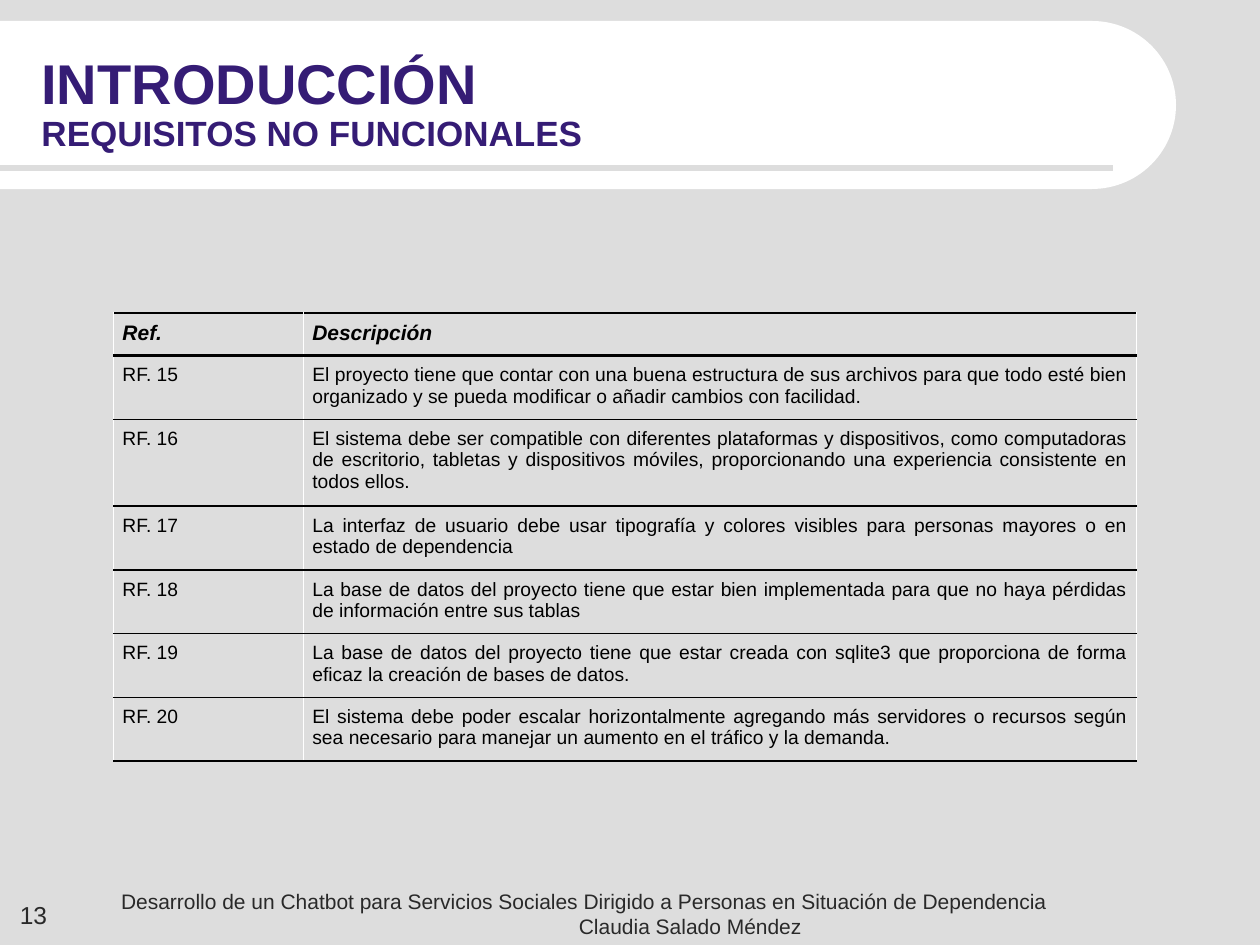
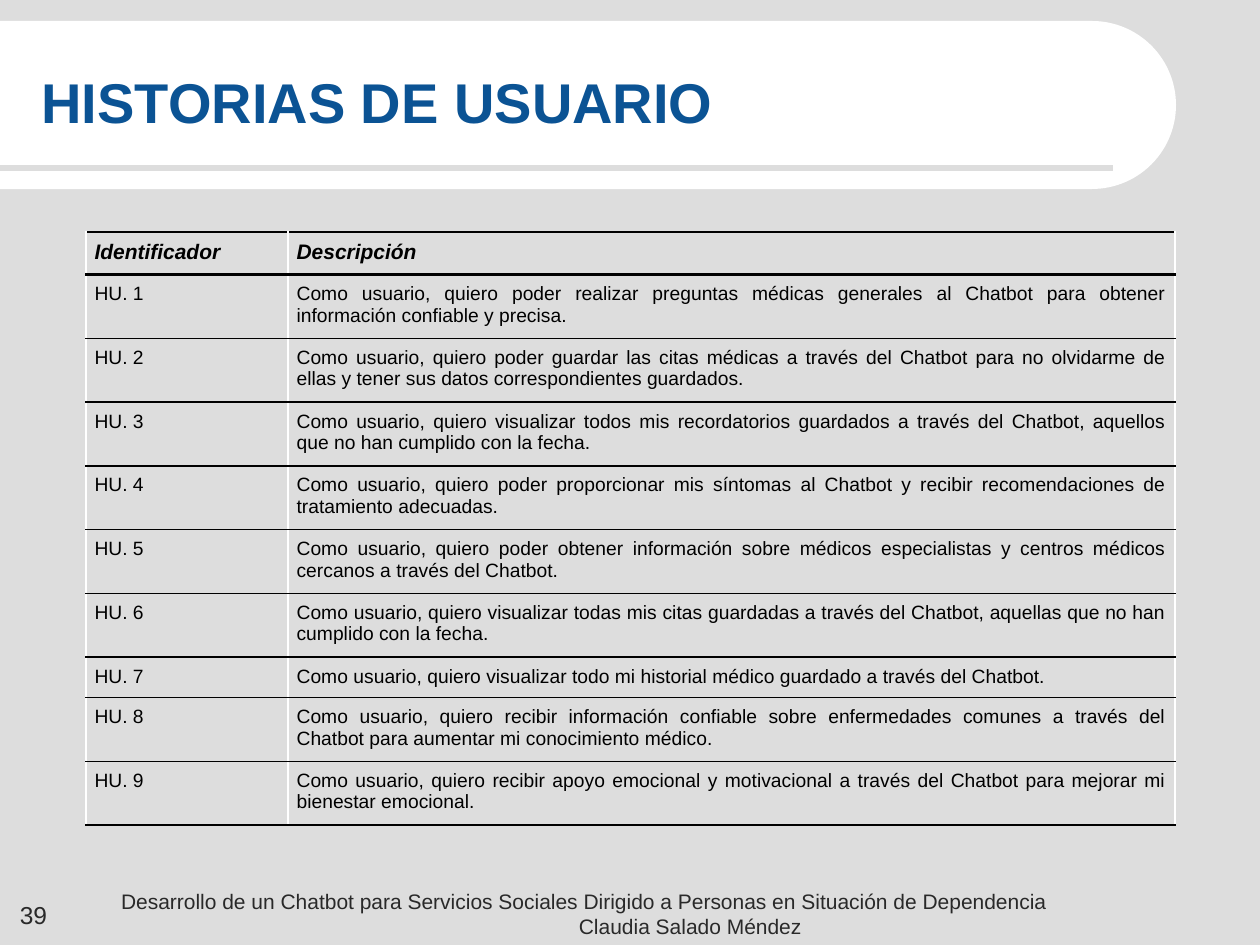
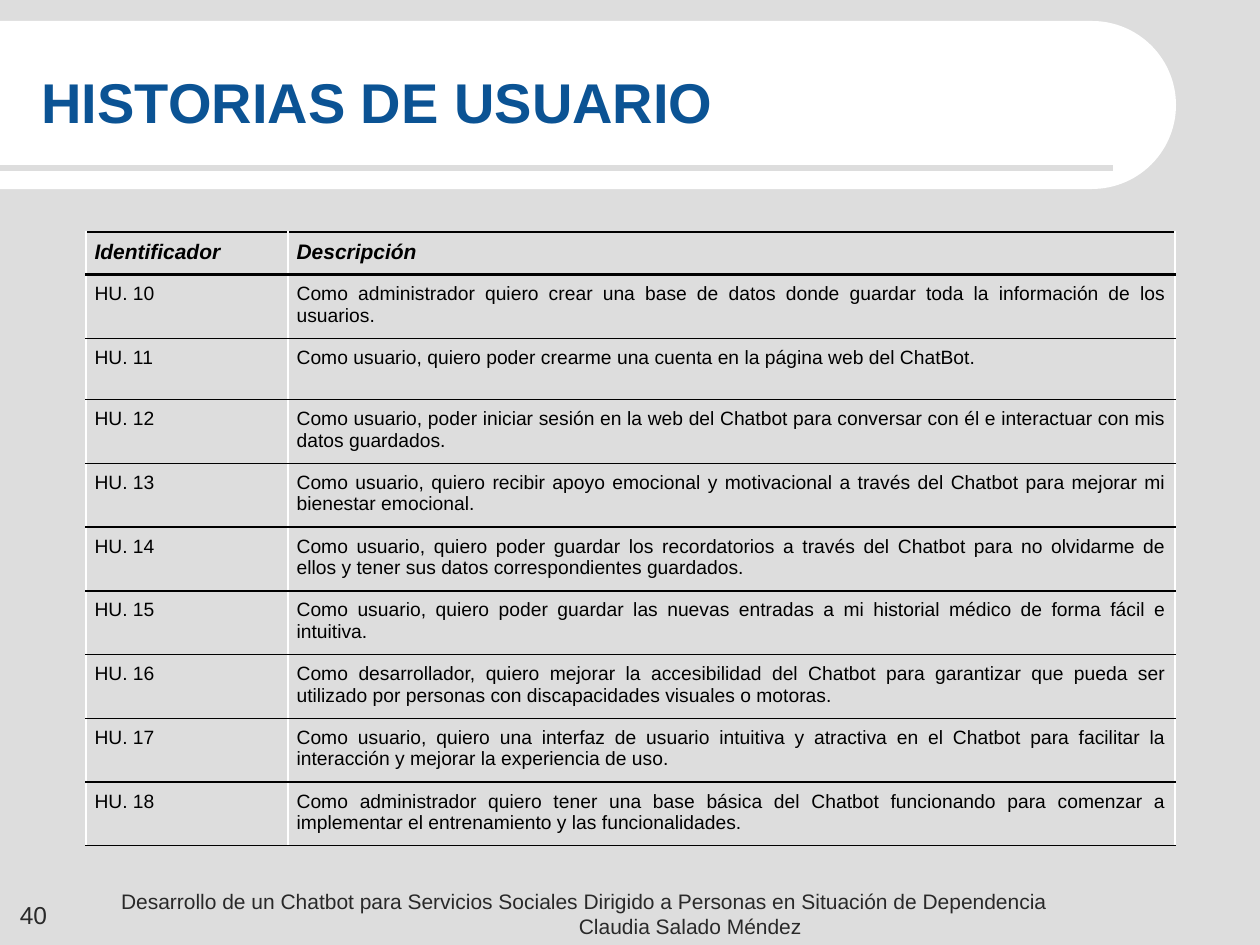
"""Builds three slides of requirement and user story tables for a chatbot project."""
from math import cos, pi, sin

from lxml import etree
from pptx import Presentation
from pptx.dml.color import RGBColor
from pptx.enum.shapes import MSO_CONNECTOR
from pptx.enum.text import MSO_ANCHOR, MSO_AUTO_SIZE, PP_ALIGN
from pptx.oxml.ns import qn
from pptx.util import Pt

LEFT, CENTER, RIGHT, JUSTIFY = PP_ALIGN.LEFT, PP_ALIGN.CENTER, PP_ALIGN.RIGHT, PP_ALIGN.JUSTIFY
TOP, MIDDLE, BOTTOM = MSO_ANCHOR.TOP, MSO_ANCHOR.MIDDLE, MSO_ANCHOR.BOTTOM
STRAIGHT = MSO_CONNECTOR.STRAIGHT
NO_AUTOFIT = MSO_AUTO_SIZE.NONE

FONT = "Arial"
COLORS = {
    "background": "DDDDDD",
    "band": "FFFFFF",
    "purple": "351C75",
    "blue": "0B5394",
    "footer": "292929",
    "text": "000000",
    "side_border": "FFFFFF",
    "row_border": "000000",
}
TITLE_LAYOUT = 5
CELL_INSET = 5
MIN_ROW_HEIGHT = 12
THIN, THICK = 1, 1.5
PROJECT = ("Desarrollo de un Chatbot para Servicios Sociales Dirigido a Personas "
           "en Situación de Dependencia")
AUTHOR = "Claudia Salado Méndez"
AUTHOR_INDENT = 121

REQUIREMENTS = [
    "El proyecto tiene que contar con una buena estructura de sus archivos para que todo esté "
    "bien organizado y se pueda modificar o añadir cambios con facilidad.",
    "El sistema debe ser compatible con diferentes plataformas y dispositivos, como computadoras "
    "de escritorio, tabletas y dispositivos móviles, proporcionando una experiencia consistente "
    "en todos ellos.",
    "La interfaz de usuario debe usar tipografía y colores visibles para personas mayores o en "
    "estado de dependencia",
    "La base de datos del proyecto tiene que estar bien implementada para que no haya pérdidas "
    "de información entre sus tablas",
    "La base de datos del proyecto tiene que estar creada con sqlite3 que proporciona de forma "
    "eficaz la creación de bases de datos.",
    "El sistema debe poder escalar horizontalmente agregando más servidores o recursos según "
    "sea necesario para manejar un aumento en el tráfico y la demanda.",
]
FIRST_STORIES = [
    "Como usuario, quiero poder realizar preguntas médicas generales al Chatbot para obtener "
    "información confiable y precisa.",
    "Como usuario, quiero poder guardar las citas médicas a través del Chatbot para no olvidarme "
    "de ellas y tener sus datos correspondientes guardados.",
    "Como usuario, quiero visualizar todos mis recordatorios guardados a través del Chatbot, "
    "aquellos que no han cumplido con la fecha.",
    "Como usuario, quiero poder proporcionar mis síntomas al Chatbot y recibir recomendaciones "
    "de tratamiento adecuadas.",
    "Como usuario, quiero poder obtener información sobre médicos especialistas y centros "
    "médicos cercanos a través del Chatbot.",
    "Como usuario, quiero visualizar todas mis citas guardadas a través del Chatbot, aquellas "
    "que no han cumplido con la fecha.",
    "Como usuario, quiero visualizar todo mi historial médico guardado a través del Chatbot.",
    "Como usuario, quiero recibir información confiable sobre enfermedades comunes a través del "
    "Chatbot para aumentar mi conocimiento médico.",
    "Como usuario, quiero recibir apoyo emocional y motivacional a través del Chatbot para "
    "mejorar mi bienestar emocional.",
]
LAST_STORIES = [
    "Como administrador quiero crear una base de datos donde guardar toda la información de los "
    "usuarios.",
    "Como usuario, quiero poder crearme una cuenta en la página web del ChatBot.",
    "Como usuario, poder iniciar sesión en la web del Chatbot para conversar con él e "
    "interactuar con mis datos guardados.",
    "Como usuario, quiero recibir apoyo emocional y motivacional a través del Chatbot para "
    "mejorar mi bienestar emocional.",
    "Como usuario, quiero poder guardar los recordatorios a través del Chatbot para no olvidarme "
    "de ellos y tener sus datos correspondientes guardados.",
    "Como usuario, quiero poder guardar las nuevas entradas a mi historial médico de forma fácil "
    "e intuitiva.",
    "Como desarrollador, quiero mejorar la accesibilidad del Chatbot para garantizar que pueda "
    "ser utilizado por personas con discapacidades visuales o motoras.",
    "Como usuario, quiero una interfaz de usuario intuitiva y atractiva en el Chatbot para "
    "facilitar la interacción y mejorar la experiencia de uso.",
    "Como administrador quiero tener una base básica del Chatbot funcionando para comenzar a "
    "implementar el entrenamiento y las funcionalidades.",
]


def rgb(color):
    return RGBColor.from_string(COLORS[color])


def write_text(paragraph, text, size=11, color="text", bold=False, italic=False,
               align=LEFT, line_spacing=None, indent=0):
    paragraph.alignment = align
    paragraph.line_spacing = line_spacing
    if indent:
        paragraph._p.get_or_add_pPr().set("marL", str(Pt(indent)))
    run = paragraph.add_run()
    run.text = text
    run.font.name = FONT
    run.font.size = Pt(size)
    run.font.color.rgb = rgb(color)
    run.font.bold = bold
    run.font.italic = italic


def add_label(slide, left, top, width, height, anchor=TOP):
    frame = slide.shapes.add_textbox(Pt(left), Pt(top), Pt(width), Pt(height)).text_frame
    frame.word_wrap = True
    frame.vertical_anchor = anchor
    return frame


def add_band(slide, top=12, radius=48, straight=624, steps=60):
    angles = [pi * step / steps - pi / 2 for step in range(steps + 1)]
    outline = [(straight + radius * cos(a), top + radius + radius * sin(a)) for a in angles]
    outline.append((0, top + 2 * radius))
    builder = slide.shapes.build_freeform(0, Pt(top))
    builder.add_line_segments([(Pt(x), Pt(y)) for x, y in outline], close=True)
    band = builder.convert_to_shape()
    band.shadow.inherit = False
    band.fill.solid()
    band.fill.fore_color.rgb = rgb("band")
    band.line.fill.background()
    return band


def add_rule(slide, y=96, length=636):
    rule = slide.shapes.add_connector(STRAIGHT, 0, Pt(y), Pt(length), Pt(y))
    rule.line.color.rgb = rgb("background")
    rule.line.width = Pt(3)
    etree.SubElement(rule._element.spPr, qn("a:effectLst"))
    return rule


def add_footer(slide, number):
    footer = add_label(slide, 58.5, 503, 551, 37, anchor=BOTTOM)
    style = {"size": 12, "color": "footer", "align": CENTER}
    write_text(footer.paragraphs[0], PROJECT, **style)
    write_text(footer.add_paragraph(), AUTHOR, indent=AUTHOR_INDENT, **style)
    page = add_label(slide, 0, 511, 34, 32)
    write_text(page.paragraphs[0], str(number), size=14, color="footer", align=RIGHT)


def set_title(slide, heading, subheading, color):
    title = slide.shapes.title
    title.left, title.top, title.width, title.height = Pt(16.5), Pt(26.5), Pt(630), Pt(62.5)
    frame = title.text_frame
    frame.auto_size = NO_AUTOFIT
    frame.vertical_anchor = MIDDLE
    write_text(frame.paragraphs[0], heading, size=32, color=color, bold=True)
    if subheading:
        write_text(frame.add_paragraph(), subheading, size=20, color=color, bold=True,
                   line_spacing=0.9)


def set_border(cell, side, color, width):
    border = etree.SubElement(cell._tc.get_or_add_tcPr(), qn(f"a:ln{side}"), w=str(Pt(width)))
    fill = etree.SubElement(border, qn("a:solidFill"))
    etree.SubElement(fill, qn("a:srgbClr"), val=COLORS[color])


def format_cell(cell, top_width, bottom_width):
    cell.margin_left = cell.margin_right = Pt(CELL_INSET)
    cell.margin_top = cell.margin_bottom = Pt(CELL_INSET)
    for side in "LR":
        set_border(cell, side, "side_border", THIN)
    set_border(cell, "T", "row_border", top_width)
    set_border(cell, "B", "row_border", bottom_width)
    cell.fill.background()


def add_list_table(slide, left, top, columns, headings, entries, end_width=THIN, heights=None):
    rows = [headings, *entries]
    table = slide.shapes.add_table(len(rows), len(columns), Pt(left), Pt(top), Pt(sum(columns)),
                                   Pt(MIN_ROW_HEIGHT * len(rows))).table
    table.first_row = table.horz_banding = False
    for column, width in zip(table.columns, columns):
        column.width = Pt(width)
    for row, height in (heights or {}).items():
        table.rows[row].height = Pt(height)
    edges = [THICK, THICK] + [THIN] * (len(entries) - 1) + [end_width]
    for row, texts in enumerate(rows):
        for column, text in enumerate(texts):
            cell = table.cell(row, column)
            format_cell(cell, edges[row], edges[row + 1])
            if row == 0:
                style = {"size": 12, "bold": True, "italic": True}
            else:
                style = {"align": JUSTIFY if column else LEFT}
            write_text(cell.text_frame.paragraphs[0], text, **style)


def numbered(prefix, first, descriptions):
    return [(f"{prefix}. {number}", text) for number, text in enumerate(descriptions, first)]


def add_page(deck, number, heading, subheading=None, color="blue"):
    slide = deck.slides.add_slide(deck.slide_layouts[TITLE_LAYOUT])
    set_title(slide, heading, subheading, color)
    add_footer(slide, number)
    return slide


def share_header(slide):
    layout_tree = slide.slide_layout.shapes._spTree
    for part in (add_band(slide), add_rule(slide)):
        layout_tree.append(part._element)


def main():
    deck = Presentation()
    deck.slide_width, deck.slide_height = Pt(720), Pt(540)
    background = deck.slide_master.background.fill
    background.solid()
    background.fore_color.rgb = rgb("background")

    requirements = add_page(deck, 13, "INTRODUCCIÓN", "REQUISITOS NO FUNCIONALES", "purple")
    share_header(requirements)
    add_list_table(requirements, 65, 178.75, (108.5, 476), ("Ref.", "Descripción"),
                   numbered("RF", 15, REQUIREMENTS), end_width=THICK)

    story_pages = [(39, 1, FIRST_STORIES, None), (40, 10, LAST_STORIES, {2: 35})]
    for page, first, stories, heights in story_pages:
        slide = add_page(deck, page, "HISTORIAS DE USUARIO")
        add_list_table(slide, 49, 132.5, (115.5, 507), ("Identificador", "Descripción"),
                       numbered("HU", first, stories), heights=heights)
    deck.save("out.pptx")


if __name__ == "__main__":
    main()
